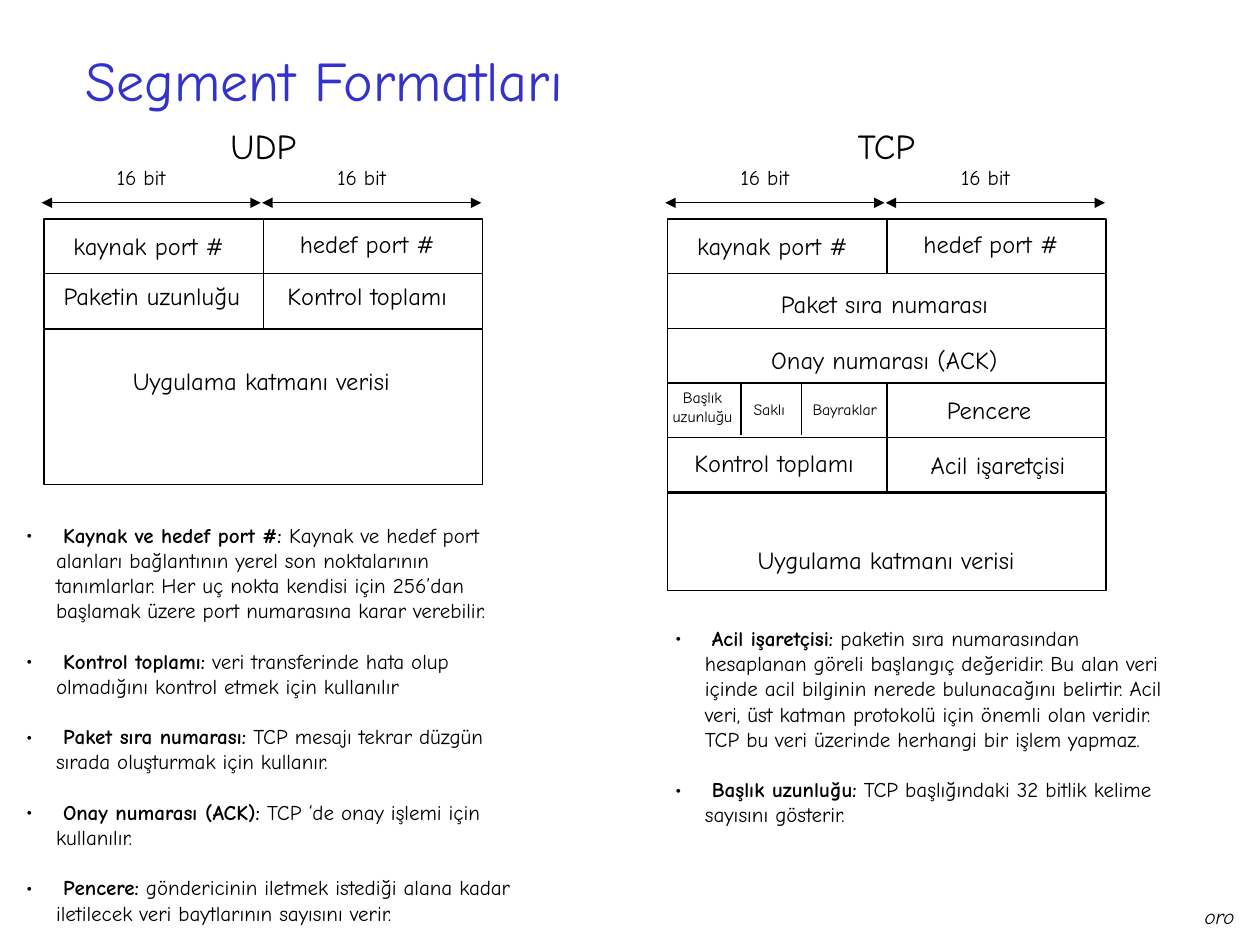
import pptx
import pptx.util
import pptx.dml.color
import pptx.enum.shapes
import pptx.enum.text
import lxml.etree
from dataclasses import dataclass

Pt = pptx.util.Pt
RGB = pptx.dml.color.RGBColor
PP_ALIGN = pptx.enum.text.PP_ALIGN


@dataclass(frozen=True)
class Theme:
    font: str = "Comic Neue"
    ink: RGB = RGB(0, 0, 0)
    title_ink: RGB = RGB(0x33, 0x33, 0xCC)
    title: int = 32
    heading: int = 20
    field: int = 14
    body: int = 12
    small: int = 9
    line: float = 0.75


theme = Theme()
prs = pptx.Presentation()
prs.slide_width, prs.slide_height = Pt(720), Pt(540)
s = prs.slides.add_slide(prs.slide_layouts[5])


def add_label(text, x, y, w, size, italic=None):
    lines = text.count("\n") + 1
    tb = s.shapes.add_textbox(Pt(x), Pt(y), Pt(w), Pt(7.2 + 1.2 * size * lines))
    tf = tb.text_frame
    tf.word_wrap = False
    tf.auto_size = pptx.enum.text.MSO_AUTO_SIZE.SHAPE_TO_FIT_TEXT
    tf.text = text
    for p in tf.paragraphs:
        p.alignment = PP_ALIGN.CENTER
        for r in p.runs:
            r.font.name, r.font.size, r.font.italic = theme.font, Pt(size), italic
            r.font.color.rgb = theme.ink


def add_line(x1, y1, x2, y2, arrows=False):
    ln = s.shapes.add_connector(
        pptx.enum.shapes.MSO_CONNECTOR.STRAIGHT, Pt(x1), Pt(y1), Pt(x2), Pt(y2))
    ln.line.color.rgb, ln.line.width = theme.ink, Pt(theme.line)
    sp_pr = ln.element.spPr
    a = "{http://schemas.openxmlformats.org/drawingml/2006/main}"
    if arrows:
        for end in ("headEnd", "tailEnd"):
            lxml.etree.SubElement(sp_pr.find(a + "ln"), a + end, type="triangle")
    lxml.etree.SubElement(sp_pr, a + "effectLst")


title = s.shapes.title
title.left, title.top, title.width, title.height = Pt(41.8), Pt(15.8), Pt(349.2), Pt(59)
tf = title.text_frame
tf.text = "Segment Formatları"
tf.auto_size = pptx.enum.text.MSO_AUTO_SIZE.NONE
tf.vertical_anchor = pptx.enum.text.MSO_ANCHOR.MIDDLE
p = tf.paragraphs[0]
p.alignment = PP_ALIGN.LEFT
r = p.runs[0]
r.font.name, r.font.size = theme.font, Pt(theme.title)
r.font.color.rgb = theme.title_ink

udp_x, tcp_x = 25.2, 381.6
top, col_w, row_h = 125.2, 125.2, 31.2
formats = [
    (udp_x, [2, 2], 88.6),
    (tcp_x, [2, 1, 1, 2, 2], 55.4),
]
for left, rows, data_h in formats:
    cells = []
    for i, cols in enumerate(rows):
        w = 2 * col_w / cols
        cells += [(left + j * w, top + i * row_h, w, row_h) for j in range(cols)]
    cells.append((left, top + len(rows) * row_h + 0.7, 2 * col_w, data_h))
    for cell in cells:
        sp = s.shapes.add_shape(
            pptx.enum.shapes.MSO_SHAPE.RECTANGLE, *[Pt(v) for v in cell])
        sp.shadow.inherit = False
        sp.fill.background()
        sp.line.color.rgb, sp.line.width = theme.ink, Pt(theme.line)
    for j in range(2):
        x = left - 1.4 + j * 126
        add_line(x, 115.9, x + col_w, 115.9, arrows=True)
        add_label("16 bit", x + 33, 90.7, 47.8, theme.body)
    add_label("kaynak port #", left + 7.4, 128.2, 104.8, theme.field)
    add_label("hedef port #", left + 137, 127.4, 95.4, theme.field)

for x in (423.4, 457.9):
    add_line(x, 218.2, x, 248.4)

labels = [
    ("UDP", 120.6, 67.7, 59.8, theme.heading),
    ("TCP", 478.4, 67.7, 56.2, theme.heading),
    ("Paketin uzunluğu", 26.8, 157, 119.9, theme.field),
    ("Kontrol toplamı", 155, 157.3, 109.8, theme.field),
    ("Uygulama katmanı verisi", 66.4, 205.5, 166, theme.field),
    ("Paket sıra numarası", 436.5, 161.5, 137.9, theme.field),
    ("Onay numarası (ACK)", 431.4, 193.5, 148, theme.field),
    ("Başlık\nuzunluğu", 375.3, 218.2, 52.2, theme.small),
    ("Saklı", 421.4, 224.6, 36.4, theme.small),
    ("Bayraklar", 455.2, 224.6, 55.1, theme.small),
    ("Pencere", 531.5, 222, 67.4, theme.field),
    ("Kontrol toplamı", 387.5, 252.7, 109.8, theme.field),
    ("Acil işaretçisi", 522.2, 253.4, 96.2, theme.field),
    ("Uygulama katmanı verisi", 423.5, 307.8, 166, theme.field),
]
for label in labels:
    add_label(*label)

notes = [
    (7.9, 294.9, 237.6, [
        ("Kaynak ve hedef port #:", "Kaynak ve hedef port alanları bağlantının yerel son "
         "noktalarının tanımlarlar. Her uç nokta kendisi için 256’dan başlamak üzere port "
         "numarasına karar verebilir."),
        ("Kontrol toplamı:", "veri transferinde hata olup olmadığını kontrol etmek için "
         "kullanılır"),
        ("Paket sıra numarası:", "TCP mesajı tekrar düzgün sırada oluşturmak için kullanır."),
        ("Onay numarası (ACK):", "TCP ‘de onay işlemi için kullanılır."),
        ("Pencere:", "göndericinin iletmek istediği alana kadar iletilecek veri baytlarının "
         "sayısını verir."),
    ]),
    (378.7, 353.9, 122.4, [
        ("Acil işaretçisi:", "paketin sıra numarasından hesaplanan göreli başlangıç "
         "değeridir. Bu alan veri içinde acil bilginin nerede bulunacağını belirtir. Acil "
         "veri, üst katman protokolü için önemli olan veridir. TCP bu veri üzerinde "
         "herhangi bir işlem yapmaz."),
        ("Başlık uzunluğu:", "TCP başlığındaki 32 bitlik kelime sayısını gösterir."),
    ]),
]
for x, y, h, items in notes:
    tf = s.shapes.add_textbox(Pt(x), Pt(y), Pt(298.8), Pt(h)).text_frame
    tf.word_wrap = True
    for i, (term, meaning) in enumerate(items):
        p = tf.paragraphs[0] if i == 0 else tf.add_paragraph()
        if i:
            p.space_before = Pt(14.4)
        p_pr = p._p.get_or_add_pPr()
        p_pr.set("marL", str(Pt(17)))
        p_pr.set("indent", str(-Pt(17)))
        for tag, key, value in (("a:buFont", "typeface", theme.font),
                                ("a:buChar", "char", "•")):
            bullet = pptx.oxml.xmlchemy.OxmlElement(tag)
            bullet.set(key, value)
            p_pr.append(bullet)
        for text, bold in ((" ", False), (term, True), (" " + meaning, False)):
            r = p.add_run()
            r.text = text
            r.font.name, r.font.size, r.font.bold = theme.font, Pt(theme.body), bold
            r.font.color.rgb = theme.ink

add_label("oro", 679.1, 512.6, 35.7, theme.body, italic=True)

prs.save("out.pptx")
